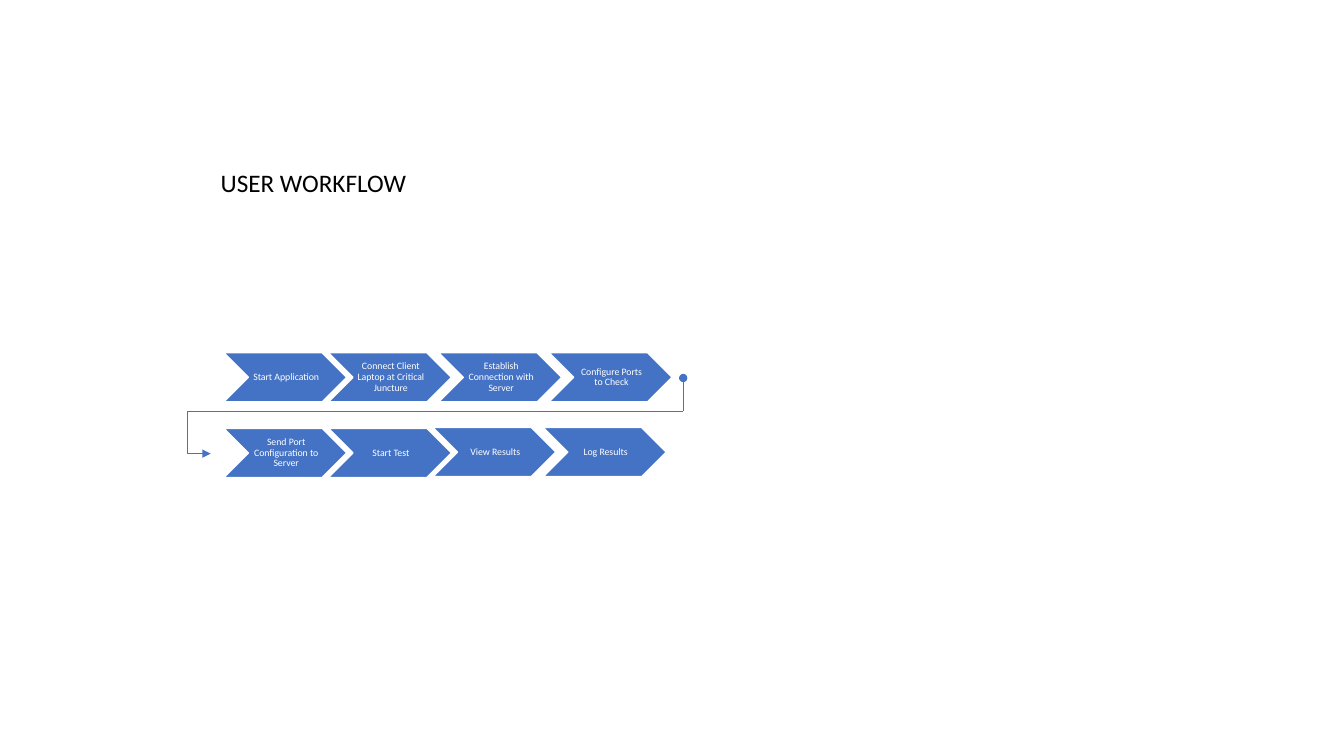
from lxml.etree import SubElement
from pptx import Presentation
from pptx.dml.color import RGBColor
from pptx.enum.shapes import MSO_CONNECTOR, MSO_SHAPE
from pptx.enum.text import MSO_ANCHOR, MSO_AUTO_SIZE, PP_ALIGN
from pptx.oxml.ns import qn
from pptx.util import Pt

BLUE, WHITE, BLACK = "4472C4", "FFFFFF", "000000"
STEP_WIDTH, STEP_HEIGHT = 87.84, 35.1
TURN_X, TURN_Y = 488, 293.76

# (left, top, label) of each step, in workflow order
STEPS = [
    (159.84, 252, "Start Application"),
    (234.6, 252, "Connect Client Laptop at Critical Juncture"),
    (313.4, 252, "Establish Connection with Server"),
    (392.2, 252, "Configure Ports to Check"),
    (159.84, 306, "Send Port Configuration to Server"),
    (234.6, 306, "Start Test"),
    (309.2, 305.4, "View Results"),
    (388, 305.4, "Log Results"),
]


def color(hex_string):
    return RGBColor.from_string(hex_string)


def write(shape, text, size, hex_string):
    frame = shape.text_frame
    frame.word_wrap = True
    frame.text = text
    font = frame.paragraphs[0].runs[0].font
    font.name = "Calibri"
    font.size = Pt(size)
    font.color.rgb = color(hex_string)
    return frame


def add_title(page, text):
    box = page.shapes.add_textbox(Pt(150.5), Pt(116), Pt(420), Pt(29))
    frame = write(box, text, 18, BLACK)
    frame.auto_size = MSO_AUTO_SIZE.SHAPE_TO_FIT_TEXT


def add_step(page, left, top, label):
    chevron = page.shapes.add_shape(
        MSO_SHAPE.CHEVRON, Pt(left), Pt(top), Pt(STEP_WIDTH), Pt(STEP_HEIGHT))
    chevron.shadow.inherit = False
    chevron.fill.solid()
    chevron.fill.fore_color.rgb = color(BLUE)
    chevron.line.color.rgb = color(WHITE)
    chevron.line.width = Pt(1)
    frame = write(chevron, label, 7, WHITE)
    frame.vertical_anchor = MSO_ANCHOR.MIDDLE
    frame.margin_left = Pt(2)
    frame.margin_top = frame.margin_right = frame.margin_bottom = Pt(0.67)
    paragraph = frame.paragraphs[0]
    paragraph.alignment = PP_ALIGN.CENTER
    paragraph.line_spacing = 0.9


def add_line(page, kind, start, end, end_mark):
    connector = page.shapes.add_connector(
        kind, *[Pt(value) for value in (*start, *end)])
    connector.line.color.rgb = color(BLUE)
    connector.line.width = Pt(0.5)
    properties = connector._element.spPr
    SubElement(properties.find(qn("a:ln")), qn("a:tailEnd"), type=end_mark)
    SubElement(properties, qn("a:effectLst"))
    return connector


def set_bend(connector, share):
    """Place the middle leg at a share of the connector's width."""
    guides = connector._element.spPr.find(qn("a:prstGeom")).find(qn("a:avLst"))
    SubElement(guides, qn("a:gd"), name="adj1",
               fmla=f"val {round(share * 100000)}")


def main():
    deck = Presentation()
    deck.slide_width, deck.slide_height = Pt(960), Pt(540)
    page = deck.slides.add_slide(deck.slide_layouts[6])
    for left, top, label in STEPS:
        add_step(page, left, top, label)
    turn = (TURN_X, TURN_Y)
    row_link = add_line(page, MSO_CONNECTOR.ELBOW, turn, (150.5, 324), "triangle")
    set_bend(row_link, 1.05)
    add_line(page, MSO_CONNECTOR.STRAIGHT, turn, (TURN_X, 270), "oval")
    add_title(page, "USER WORKFLOW")
    deck.save("out.pptx")


if __name__ == "__main__":
    main()
